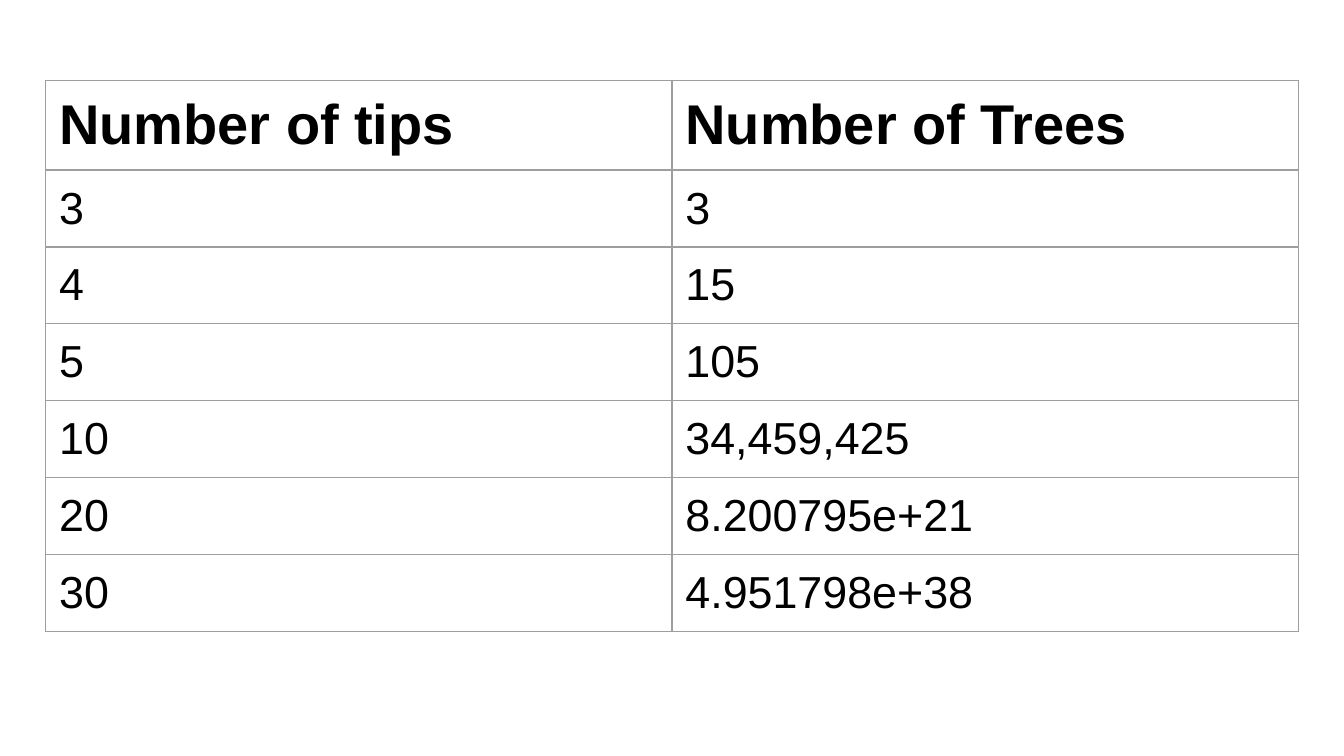
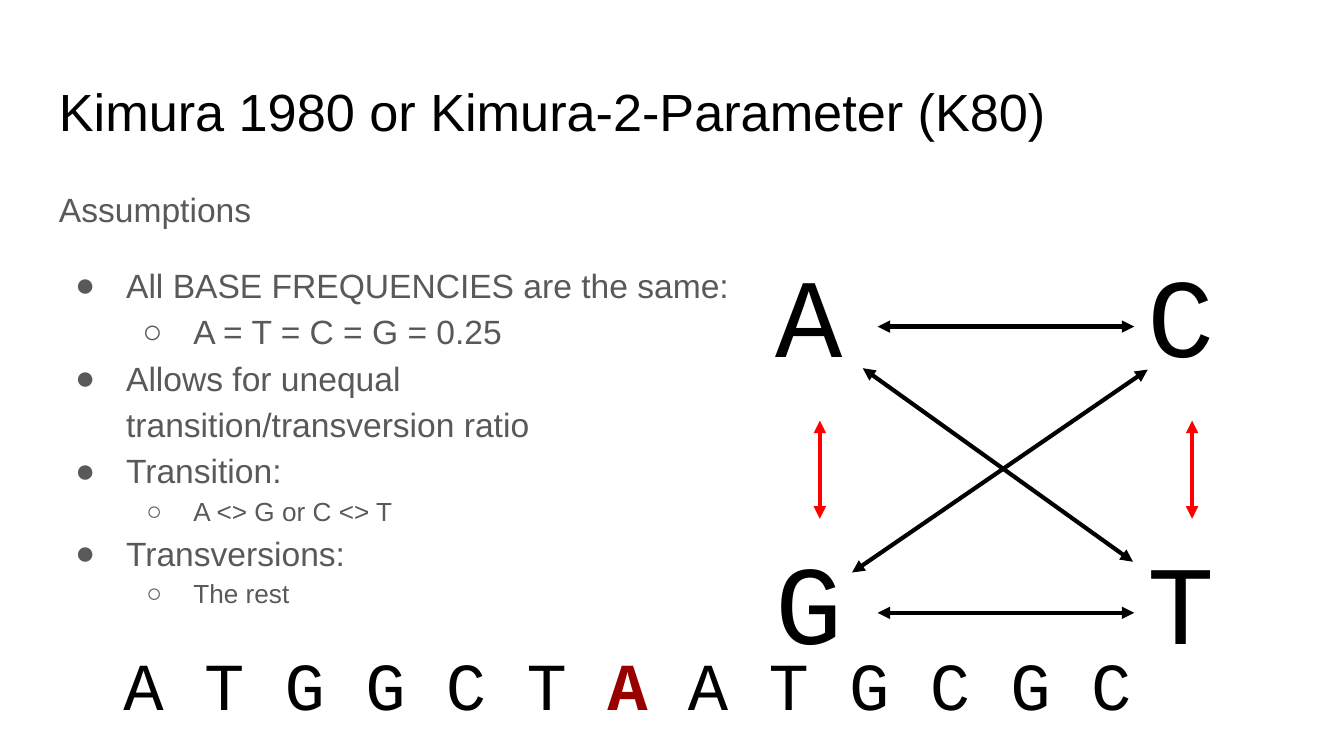
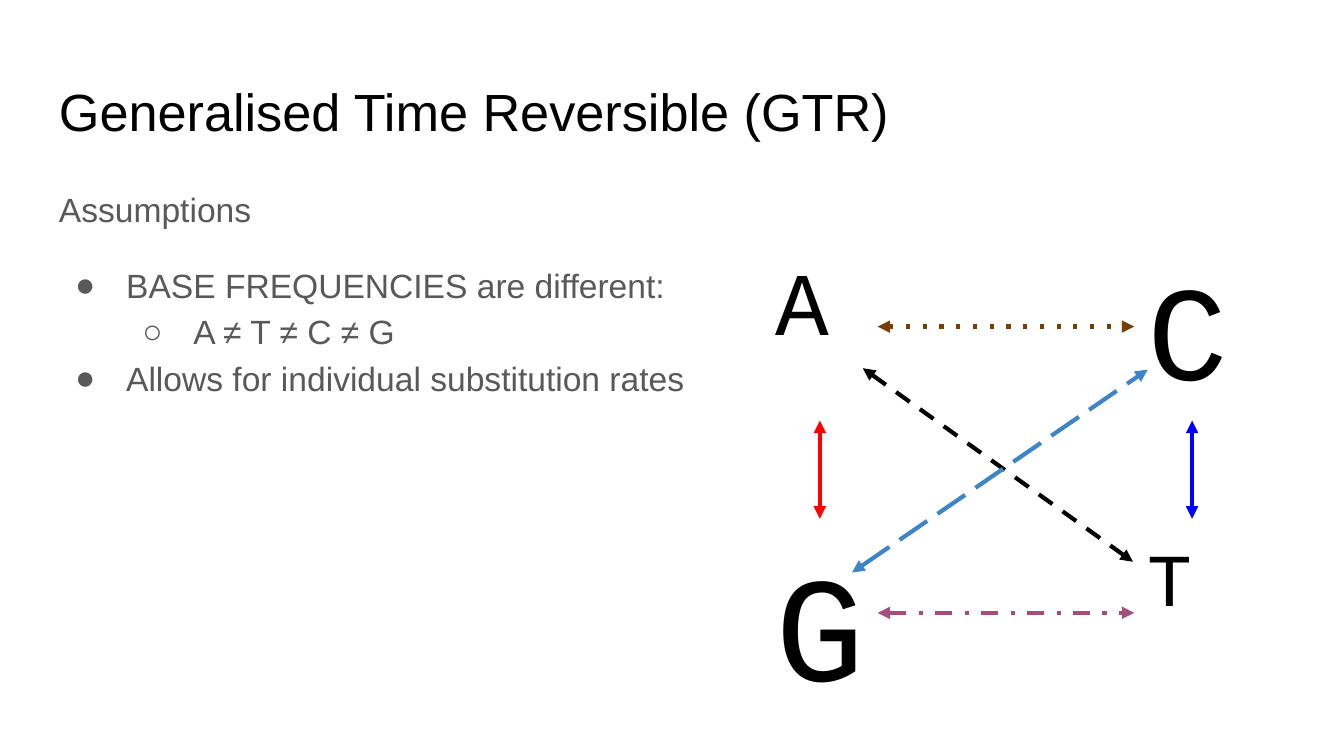
from lxml.etree import SubElement
from pptx import Presentation
from pptx.dml.color import RGBColor
from pptx.enum.shapes import MSO_CONNECTOR
from pptx.enum.text import MSO_ANCHOR, MSO_AUTO_SIZE
from pptx.oxml.ns import qn
from pptx.util import Pt

SCALE = 9144
BLACK, GREY, RULE, RED, DARK_RED = "000000", "595959", "9E9E9E", "FF0000", "980000"
BLUE, SKY, BROWN, MAUVE = "0000FF", "3D85C6", "783F04", "A64D79"
SANS, MONO = "Arial", "Courier New"
PAGE_WIDTH, MARGIN, CONTENT_WIDTH, INSET = 1000, 34, 932, 10
BASE_WIDTH, BASE_HEIGHT = 86, 140
BASE_PLACES = {"A": (567, 173), "C": (844, 173), "G": (567, 386), "T": (844, 386)}
SIDE_PAIRS = {"AC": (3, 1), "GT": (3, 1), "GA": (0, 2), "TC": (0, 2)}
DIAGONALS = {"AT": (642, 274, 843, 418), "GC": (634, 426, 854, 275)}


def px(length):
    """Turn px into EMU."""
    return length * SCALE


def color(code):
    """Turn a hex string into a colour."""
    return RGBColor.from_string(code)


class Deck:
    """Hold the deck style and the current page."""

    def __init__(self):
        """Start an empty 16:9 deck."""
        self.deck = Presentation()
        self.deck.slide_width = px(PAGE_WIDTH)
        self.deck.slide_height = px(PAGE_WIDTH) * 9 // 16
        self.page = None

    def new_page(self):
        """Add a blank page and make it current."""
        self.page = self.deck.slides.add_slide(self.deck.slide_layouts[6])

    def span(self, para, text, size, font=SANS, ink=BLACK, bold=False):
        """Add one styled run."""
        span = para.add_run()
        span.text = text
        span.font.name, span.font.size, span.font.bold = font, Pt(size), bold
        span.font.color.rgb = color(ink)

    def box(self, left, top, width, height):
        """Add an empty wrapping text box."""
        box = self.page.shapes.add_textbox(px(left), px(top), px(width), px(height))
        frame = box.text_frame
        frame.word_wrap, frame.auto_size = True, MSO_AUTO_SIZE.NONE
        frame.vertical_anchor = MSO_ANCHOR.TOP
        frame.margin_left = frame.margin_right = px(INSET)
        frame.margin_top = frame.margin_bottom = px(INSET)
        return box

    def title(self, text):
        """Add the page title."""
        box = self.box(MARGIN, 49, CONTENT_WIDTH, 63)
        self.span(box.text_frame.paragraphs[0], text, 28)

    def bullet(self, para, level, size):
        """Give a paragraph its indent and bullet."""
        properties = para._p.get_or_add_pPr()
        properties.set("marL", str(px(50 * (level + 1))))
        properties.set("indent", str(px(-38 if size == 18 else -35)))
        para.level = level
        fill = SubElement(properties, qn("a:buClr"))
        SubElement(fill, qn("a:srgbClr"), val=GREY)
        SubElement(properties, qn("a:buFont"), typeface=SANS)
        SubElement(properties, qn("a:buChar"), char="●○"[level])

    def assumptions(self, items):
        """Add the assumptions as level, size and text lines."""
        frame = self.box(MARGIN, 126, CONTENT_WIDTH, 374).text_frame
        heading = frame.paragraphs[0]
        heading.line_spacing = 1.15
        self.span(heading, "Assumptions", 18, ink=GREY)
        for index, (level, size, *lines) in enumerate(items):
            para = frame.add_paragraph()
            para.line_spacing = 1.15
            para.space_before = Pt(0 if index else 16)
            self.bullet(para, level, size)
            for number, line in enumerate(lines):
                if number:
                    para.add_line_break()
                self.span(para, line, size, ink=GREY)

    def arrow(self, ends, ink, dash="solid"):
        """Add a double-headed arrow."""
        arrow = self.page.shapes.add_connector(MSO_CONNECTOR.STRAIGHT, *map(px, ends))
        arrow.line.width = Pt(2.25)
        arrow.line.color.rgb = color(ink)
        properties = arrow._element.spPr
        line = properties.find(qn("a:ln"))
        SubElement(line, qn("a:prstDash"), val=dash)
        for end in ("a:headEnd", "a:tailEnd"):
            SubElement(line, qn(end), type="triangle")
        SubElement(properties, qn("a:effectLst"))
        return arrow

    def substitutions(self, sizes, styles):
        """Add the four bases and the arrows between them."""
        bases = {}
        for base, place in BASE_PLACES.items():
            bases[base] = self.box(*place, BASE_WIDTH, BASE_HEIGHT)
            self.span(bases[base].text_frame.paragraphs[0], base, sizes[base], MONO)
        for pair, ends in DIAGONALS.items():
            self.arrow(ends, *styles[pair])
        for pair, (start_side, end_side) in SIDE_PAIRS.items():
            arrow = self.arrow((0, 0, 0, 0), *styles[pair])
            arrow.begin_connect(bases[pair[0]], start_side)
            arrow.end_connect(bases[pair[1]], end_side)

    def sequence(self, before, changed, after):
        """Add the base sequence with one base marked."""
        para = self.box(82, 469, 803, 94).text_frame.paragraphs[0]
        self.span(para, before, 36, MONO)
        self.span(para, changed, 36, MONO, DARK_RED, True)
        self.span(para, after, 36, MONO)

    def cell_borders(self, cell):
        """Draw the four borders of a cell."""
        properties = cell._tc.get_or_add_tcPr()
        for index, side in enumerate(("a:lnL", "a:lnR", "a:lnT", "a:lnB")):
            line = properties.makeelement(qn(side), {"w": str(Pt(0.75))})
            properties.insert(index, line)
            SubElement(SubElement(line, qn("a:solidFill")), qn("a:srgbClr"), val=RULE)

    def table(self, rows):
        """Add a ruled table with a bold first row."""
        table = self.page.shapes.add_table(
            len(rows), len(rows[0]), px(MARGIN), px(60), px(CONTENT_WIDTH), px(430)).table
        table.first_row = table.horz_banding = False
        for row_index, texts in enumerate(rows):
            table.rows[row_index].height = px(56)
            header = row_index == 0
            for column, text in enumerate(texts):
                cell = table.cell(row_index, column)
                cell.margin_left = cell.margin_right = px(INSET)
                cell.margin_top = cell.margin_bottom = px(INSET)
                cell.fill.background()
                self.cell_borders(cell)
                self.span(cell.text_frame.paragraphs[0], text,
                          30 if header else 24, bold=header)


def main():
    """Build the three pages."""
    deck = Deck()

    deck.new_page()
    deck.table([
        ("Number of tips", "Number of Trees"),
        ("3", "3"),
        ("4", "15"),
        ("5", "105"),
        ("10", "34,459,425"),
        ("20", "8.200795e+21"),
        ("30", "4.951798e+38"),
    ])

    deck.new_page()
    deck.title("Kimura 1980 or Kimura-2-Parameter (K80)")
    deck.assumptions([
        (0, 18, "All BASE FREQUENCIES are the same:"),
        (1, 18, "A = T = C = G = 0.25"),
        (0, 18, "Allows for unequal ", "transition/transversion ratio"),
        (0, 18, "Transition:"),
        (1, 14, "A <> G or C <> T"),
        (0, 18, "Transversions:"),
        (1, 14, "The rest"),
    ])
    transversions = dict.fromkeys(("AT", "GC", "AC", "GT"), (BLACK,))
    transitions = dict.fromkeys(("GA", "TC"), (RED,))
    deck.substitutions(dict.fromkeys("ACGT", 60), {**transversions, **transitions})
    deck.sequence("A T G G C T ", "A", " A T G C G C")

    deck.new_page()
    deck.title("Generalised Time Reversible (GTR)")
    deck.assumptions([
        (0, 18, "BASE FREQUENCIES are different:"),
        (1, 18, "A ≠ T ≠ C ≠ G"),
        (0, 18, "Allows for individual substitution rates"),
    ])
    deck.substitutions({"A": 48, "C": 72, "G": 80, "T": 40}, {
        "AT": (BLACK, "dash"),
        "GC": (SKY, "lgDash"),
        "AC": (BROWN, "dot"),
        "GT": (MAUVE, "dashDot"),
        "GA": (RED,),
        "TC": (BLUE,),
    })

    deck.deck.save("out.pptx")


if __name__ == "__main__":
    main()
